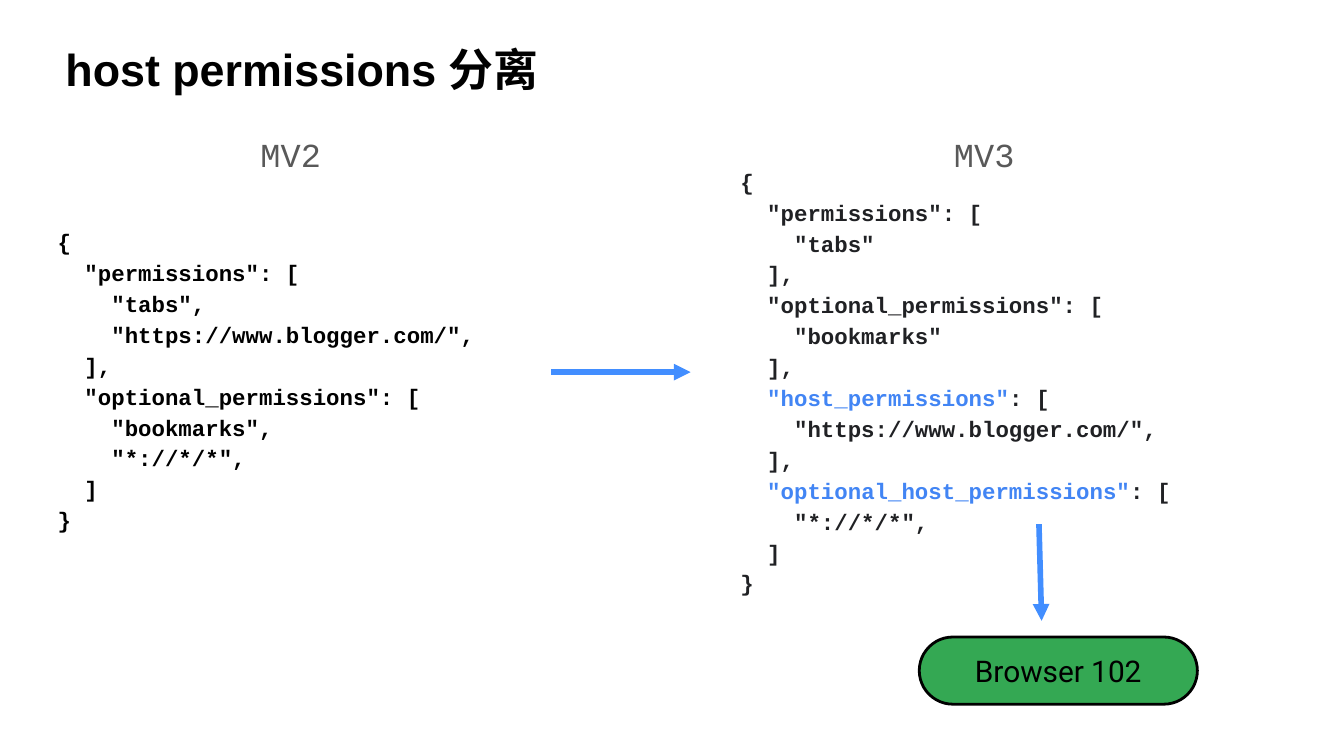
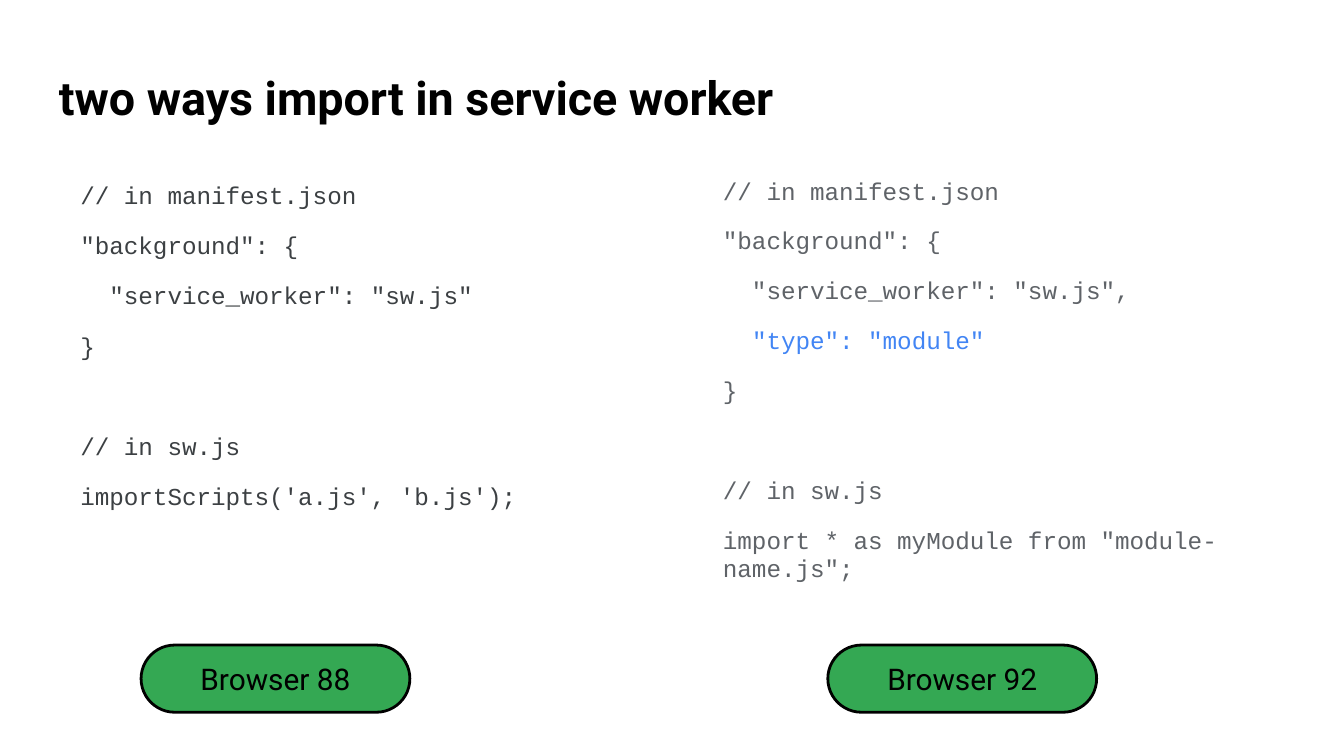
from lxml.etree import SubElement
from pptx import Presentation
from pptx.dml.color import RGBColor
from pptx.enum.shapes import MSO_CONNECTOR, MSO_SHAPE
from pptx.enum.text import MSO_ANCHOR, PP_ALIGN
from pptx.oxml.ns import qn
from pptx.util import Pt

BLACK = RGBColor(0x00, 0x00, 0x00)
INK = RGBColor(0x20, 0x21, 0x24)
CHARCOAL = RGBColor(0x3C, 0x40, 0x43)
SLATE = RGBColor(0x5F, 0x63, 0x68)
LABEL_GRAY = RGBColor(0x59, 0x59, 0x59)
HIGHLIGHT_BLUE = RGBColor(0x42, 0x85, 0xF4)
ARROW_BLUE = RGBColor(0x42, 0x8E, 0xFF)
GREEN = RGBColor(0x34, 0xA8, 0x53)
MONO = "Courier New"

# Content: boxes are (left, top, width, height) in points
HIGHLIGHTS = ['"host_permissions"', '"optional_host_permissions"', '"type": "module"']

MV2_MANIFEST = [
    '{',
    '  "permissions": [',
    '    "tabs",',
    '    "https://www.blogger.com/",',
    '  ],',
    '  "optional_permissions": [',
    '    "bookmarks",',
    '    "*://*/*",',
    '  ]',
    '}',
]
MV3_MANIFEST = [
    '{',
    '  "permissions": [',
    '    "tabs"',
    '  ],',
    '  "optional_permissions": [',
    '    "bookmarks"',
    '  ],',
    '  "host_permissions": [',
    '    "https://www.blogger.com/",',
    '  ],',
    '  "optional_host_permissions": [',
    '    "*://*/*",',
    '  ]',
    '}',
]
CLASSIC_IMPORT = [
    ['// in manifest.json', '"background": {', '  "service_worker": "sw.js"', '}'],
    ['// in sw.js', "importScripts('a.js', 'b.js');"],
]
MODULE_IMPORT = [
    ['// in manifest.json', '"background": {', '  "service_worker": "sw.js",',
     '  "type": "module"', '}'],
    ['// in sw.js', 'import * as myModule from "module-name.js";'],
]

SLIDES = [
    {
        "title": ("host permissions 分离", (28, 15, 327, 36), "Arial", 24),
        "labels": [("MV2", 132.5), ("MV3", 504)],
        "manifests": [
            (MV2_MANIFEST, (23.8, 113, 327, 196.6), BLACK, 0),
            (MV3_MANIFEST, (383.8, 80.6, 327, 246.2), INK, 5.76),
        ],
        "arrows": [((295.2, 199.4), (370, 199.4)), ((556.6, 280.8), (558, 332.6))],
        "versions": [("Browser 102", (492.5, 341.3, 149, 36))],
    },
    {
        "title": ("two ways import in service worker", (24.5, 29.5, 671, 45), "Roboto", 25),
        "imports": [
            (CLASSIC_IMPORT, (36, 90.7, 283.7, 269.3), CHARCOAL, 0.95),
            (MODULE_IMPORT, (380.2, 90.7, 296.6, 269.3), SLATE, 0.75),
        ],
        "versions": [("Browser 88", (75.6, 345.6, 144, 36)),
                     ("Browser 92", (443.5, 345.6, 144, 36))],
    },
]
LABEL_TOP, LABEL_WIDTH, LABEL_HEIGHT = 64.8, 52, 36.7
LINE_GAP, SECTION_GAP = 12, 39


def style(font, name, size, color, bold=False):
    font.name, font.size, font.bold = name, Pt(size), bold
    font.color.rgb = color


def add_box(slide, box):
    frame = slide.shapes.add_textbox(*map(Pt, box)).text_frame
    frame.word_wrap = True
    frame.margin_left = frame.margin_right = Pt(7.2)
    frame.margin_top = frame.margin_bottom = Pt(7.2)
    return frame


def add_line(slide, text, box, name, size, color, bold=False):
    paragraph = add_box(slide, box).paragraphs[0]
    paragraph.add_run().text = text
    style(paragraph.font, name, size, color, bold)


def fill_code_line(paragraph, line, size, color, bold, spacing):
    paragraph.line_spacing = spacing
    style(paragraph.font, MONO, size, color, bold)
    phrase = next((h for h in HIGHLIGHTS if h in line), None)
    for part in line.partition(phrase) if phrase else (line,):
        if part:
            run = paragraph.add_run()
            run.text = part
            if part == phrase:
                run.font.color.rgb = HIGHLIGHT_BLUE


def add_manifest(slide, lines, box, color, indent):
    frame = add_box(slide, box)
    for i, line in enumerate(lines):
        paragraph = frame.add_paragraph() if i else frame.paragraphs[0]
        if indent:
            properties = paragraph._p.get_or_add_pPr()
            properties.set("marL", str(Pt(indent)))
            properties.set("indent", "0")
        fill_code_line(paragraph, line, 12, color, True, 1.15)


def add_import(slide, sections, box, color, first_spacing):
    frame = add_box(slide, box)
    for s, section in enumerate(sections):
        for i, line in enumerate(section):
            first = s == 0 and i == 0
            paragraph = frame.paragraphs[0] if first else frame.add_paragraph()
            if not first:
                paragraph.space_before = Pt(LINE_GAP if i else SECTION_GAP)
            fill_code_line(paragraph, line, 13, color, False,
                           first_spacing if first else 0.95)


def add_arrow(slide, start, end):
    arrow = slide.shapes.add_connector(MSO_CONNECTOR.STRAIGHT, *map(Pt, start + end))
    arrow.line.color.rgb = ARROW_BLUE
    arrow.line.width = Pt(3)
    SubElement(arrow.line._get_or_add_ln(), qn("a:tailEnd"), type="triangle")
    SubElement(arrow._element.spPr, qn("a:effectLst"))


def add_version(slide, text, box):
    pill = slide.shapes.add_shape(MSO_SHAPE.ROUNDED_RECTANGLE, *map(Pt, box))
    pill.adjustments[0] = 0.5
    pill.shadow.inherit = False
    pill.fill.solid()
    pill.fill.fore_color.rgb = GREEN
    pill.line.color.rgb = BLACK
    pill.line.width = Pt(1.5)
    frame = pill.text_frame
    frame.vertical_anchor = MSO_ANCHOR.MIDDLE
    frame.margin_left = frame.margin_right = Pt(21.6)
    frame.margin_top = frame.margin_bottom = Pt(14.4)
    paragraph = frame.paragraphs[0]
    paragraph.alignment = PP_ALIGN.CENTER
    paragraph.add_run().text = text
    style(paragraph.font, "Roboto", 16, BLACK)


def main():
    deck = Presentation()
    deck.slide_width, deck.slide_height = Pt(720), Pt(405)
    for content in SLIDES:
        slide = deck.slides.add_slide(deck.slide_layouts[6])
        # Title and column labels
        title, title_box, title_font, title_size = content["title"]
        add_line(slide, title, title_box, title_font, title_size, BLACK, True)
        for label, left in content.get("labels", []):
            add_line(slide, label, (left, LABEL_TOP, LABEL_WIDTH, LABEL_HEIGHT),
                     MONO, 18, LABEL_GRAY)
        # Code columns
        for manifest in content.get("manifests", []):
            add_manifest(slide, *manifest)
        for import_way in content.get("imports", []):
            add_import(slide, *import_way)
        # Browser versions and arrows
        for version in content["versions"]:
            add_version(slide, *version)
        for arrow in content.get("arrows", []):
            add_arrow(slide, *arrow)
    deck.save("out.pptx")


if __name__ == "__main__":
    main()
